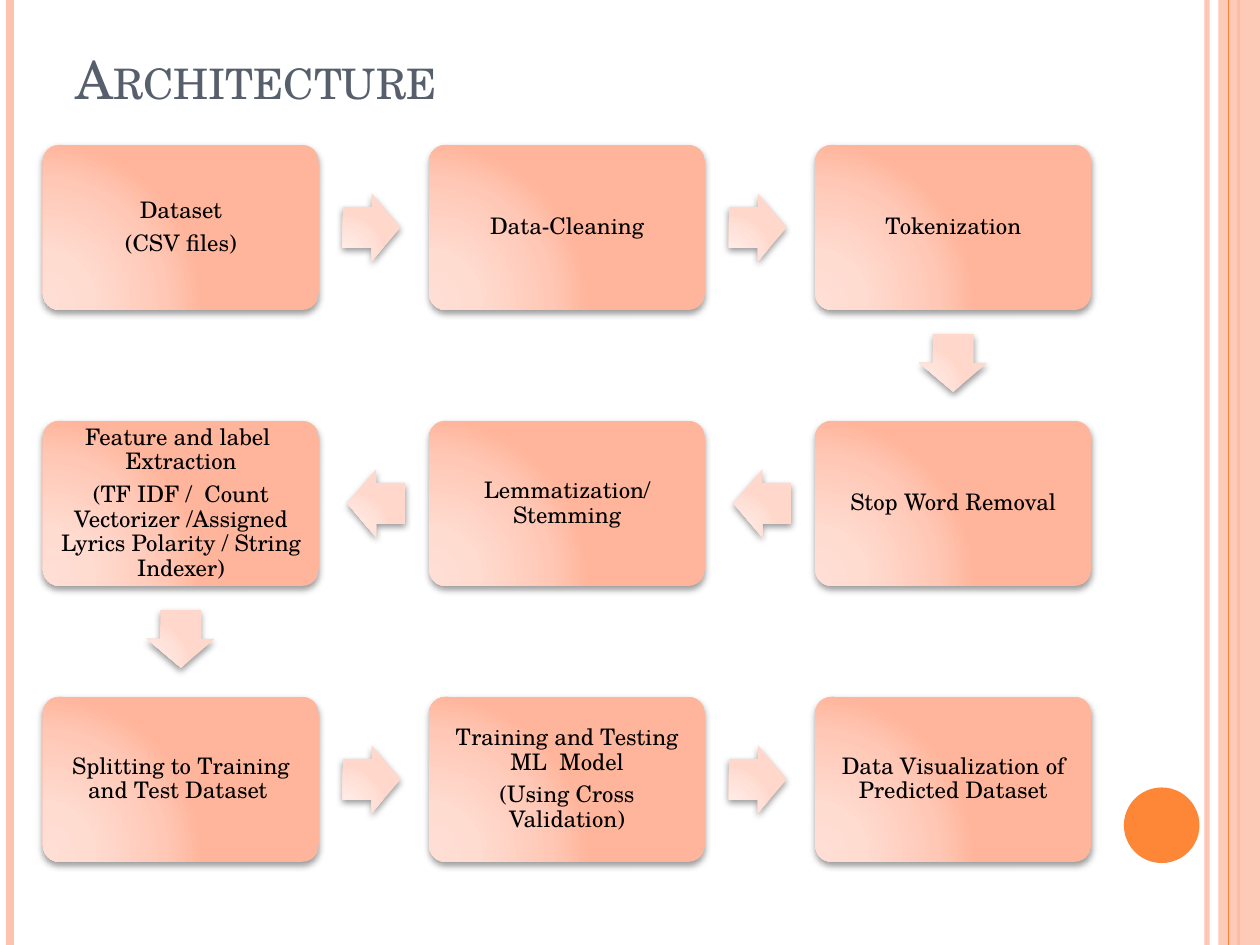
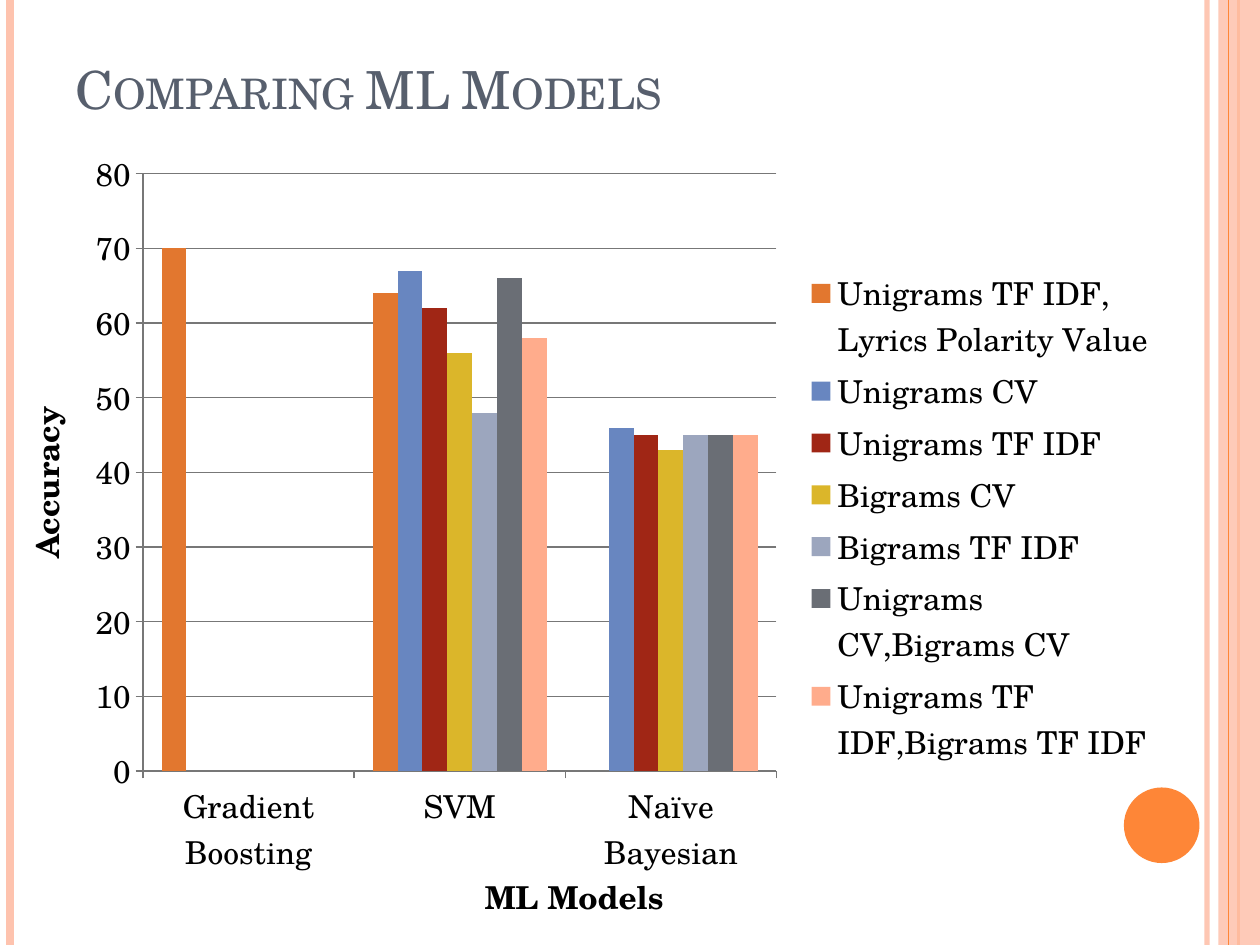
from lxml import etree
from pptx import Presentation
from pptx.chart.data import CategoryChartData
from pptx.dml.color import RGBColor
from pptx.enum.chart import XL_CHART_TYPE, XL_LEGEND_POSITION, XL_TICK_MARK
from pptx.enum.shapes import MSO_CONNECTOR, MSO_SHAPE
from pptx.enum.text import MSO_ANCHOR, PP_ALIGN
from pptx.oxml import parse_xml
from pptx.oxml.ns import nsdecls, qn
from pptx.util import Inches, Pt

LINE = MSO_CONNECTOR.STRAIGHT
RECT, OVAL = MSO_SHAPE.RECTANGLE, MSO_SHAPE.OVAL
ROUND, ARROW = MSO_SHAPE.ROUNDED_RECTANGLE, MSO_SHAPE.RIGHT_ARROW
COLUMN = XL_CHART_TYPE.COLUMN_CLUSTERED
RIGHT = XL_LEGEND_POSITION.RIGHT
OUT = XL_TICK_MARK.OUTSIDE
MIDDLE, BOTTOM = MSO_ANCHOR.MIDDLE, MSO_ANCHOR.BOTTOM
CENTER, LEFT = PP_ALIGN.CENTER, PP_ALIGN.LEFT

FONT = "TeX Gyre Schola"
BLACK, SLATE, GREY = "000000", "575F6D", "777777"
PEACH, ORANGE = "FEC3AE", "FE8637"
STOPS = (0, 30, 75, 100)
BOX_FADE = ("FFDED5", "FFDBD0", "FFC8B6", "FFB59B")
ARROW_FADE = ("FFECE7", "FFEAE4", "FFE0D7", "FFD7CB")
WIDE, HIGH = 10, 7.5

RULES = [(9.58, PEACH, 3, 93), (0.08, PEACH, 4.5, 100), (9.83, ORANGE, 1.5, 100)]

STEPS = [
    (0, 0, "Dataset\n(CSV files)"),
    (1, 0, "Data-Cleaning"),
    (2, 0, "Tokenization"),
    (2, 1, "Stop Word Removal"),
    (1, 1, "Lemmatization/ Stemming"),
    (0, 1, "Feature and label  Extraction\n(TF IDF /  Count Vectorizer /Assigned "
           "Lyrics Polarity / String Indexer)"),
    (0, 2, "Splitting to Training and Test Dataset "),
    (1, 2, "Training and Testing ML  Model\n(Using Cross Validation)"),
    (2, 2, "Data Visualization of Predicted Dataset"),
]
TURNS = {(1, 0): 0, (0, 1): 90, (-1, 0): 180}

MODELS = ["Gradient Boosting", "SVM", "Naïve Bayesian"]
SERIES = [
    ("Unigrams TF IDF, Lyrics Polarity Value", (70, 64, None), "E2772F"),
    ("Unigrams CV", (None, 67, 46), "6886C0"),
    ("Unigrams TF IDF", (None, 62, 45), "A02615"),
    ("Bigrams CV ", (None, 56, 43), "DBB62A"),
    ("Bigrams TF IDF", (None, 48, 45), "9CA6BE"),
    ("Unigrams CV,Bigrams CV", (None, 66, 45), "6A6E75"),
    ("Unigrams TF IDF,Bigrams TF IDF", (None, 58, 45), "FFAC8C"),
]


def rgb(code):
    """Turn a hex string into a colour."""
    return RGBColor.from_string(code)


def place(box):
    """Turn a box in inches into lengths."""
    return [Inches(v) for v in box]


def fade(fill, share):
    """Make a solid fill partly transparent."""
    color = fill._xPr.find(qn("a:solidFill"))[0]
    etree.SubElement(color, qn("a:alpha")).set("val", str(share * 1000))


def style(font, size, color=BLACK, bold=False):
    """Set the shared typeface with a size and colour."""
    font.name, font.size, font.bold = FONT, Pt(size), bold
    font.color.rgb = rgb(color)


def write(shape, text, size, color=BLACK, bold=False, align=LEFT):
    """Fill a shape with styled paragraphs."""
    shape.text_frame.text = text
    for para in shape.text_frame.paragraphs:
        para.alignment = align
        for run in para.runs:
            style(run.font, size, color, bold)


def label(slide, text, box, size, color=BLACK, bold=False, align=LEFT):
    """Add a wrapped text box."""
    shape = slide.shapes.add_textbox(*place(box))
    shape.text_frame.word_wrap = True
    write(shape, text, size, color, bold, align)
    return shape


def solid(slide, kind, box, color):
    """Add a flat shape without outline."""
    shape = slide.shapes.add_shape(kind, *place(box))
    shape.shadow.inherit = False
    shape.fill.solid()
    shape.fill.fore_color.rgb = rgb(color)
    shape.line.fill.background()
    return shape


def rule(slide, x, color, width, share=100):
    """Add a full-height vertical line."""
    line = slide.shapes.add_connector(LINE, *place((x, 0, x, HIGH)))
    line.line.color.rgb = rgb(color)
    line.line.width = Pt(width)
    etree.SubElement(line._element.spPr, qn("a:effectLst"))
    if share < 100:
        fade(line.line.fill, share)


def frame(deck, title, height):
    """Add a slide with its side bands, disc and title."""
    slide = deck.slides.add_slide(deck.slide_layouts[6])
    for args in RULES:
        rule(slide, *args)
    fade(solid(slide, RECT, (9.67, 0, 0.33, HIGH), PEACH).fill, 87)
    rule(slide, 9.75, ORANGE, 0.75)
    solid(slide, OVAL, (8.92, 6.25, 0.6, 0.6), ORANGE)
    head = label(slide, title, (0.5, 0.3, 8.17, height), 30, SLATE)
    head.text_frame.vertical_anchor = BOTTOM
    head.text_frame.paragraphs[0].runs[0].font._element.set("cap", "small")
    return slide


def glow(slide, kind, box, colors):
    """Add a shape with a radial gradient and a soft shadow."""
    shape = slide.shapes.add_shape(kind, *place(box))
    shape.line.fill.background()
    shape.shadow.inherit = False
    stops = "".join(
        f'<a:gs pos="{pos * 1000}"><a:srgbClr val="{color}"/></a:gs>'
        for pos, color in zip(STOPS, colors))
    props = shape._element.spPr
    props.insert(2, parse_xml(
        f'<a:gradFill {nsdecls("a")} rotWithShape="1"><a:gsLst>{stops}</a:gsLst>'
        '<a:path path="circle"><a:fillToRect l="5000" t="100000" r="120000" b="10000"/>'
        '</a:path></a:gradFill>'))
    props.find(qn("a:effectLst")).append(parse_xml(
        f'<a:outerShdw {nsdecls("a")} blurRad="{Pt(4)}" dist="{Pt(2)}" dir="5400000" '
        'rotWithShape="0"><a:srgbClr val="000000"><a:alpha val="40000"/></a:srgbClr>'
        '</a:outerShdw>'))
    return shape


def step(slide, text, box):
    """Add one rounded box of the flow."""
    shape = glow(slide, ROUND, box, BOX_FADE)
    shape.adjustments[0] = 0.1
    body = shape.text_frame
    body.word_wrap, body.vertical_anchor = True, MIDDLE
    body.margin_left = body.margin_right = Inches(0.05)
    body.margin_top = body.margin_bottom = Inches(0.05)
    write(shape, text, 13, align=CENTER)
    for para in body.paragraphs:
        para.line_spacing = 0.9
        para.space_after = Pt(0)
        after = para._p.pPr.find(qn("a:spcAft"))
        after.clear()
        etree.SubElement(after, qn("a:spcPct")).set("val", "35000")


def flow(slide, left, top, wide=2.19, high=1.31):
    """Lay the steps on a winding grid joined by arrows."""
    for i, (col, row, text) in enumerate(STEPS):
        x, y = left + col * 3.065, top + row * 2.19
        step(slide, text, (x, y, wide, high))
        if i + 1 < len(STEPS):
            dx, dy = STEPS[i + 1][0] - col, STEPS[i + 1][1] - row
            mid = x + wide / 2 + dx * (wide / 2 + 0.42)
            level = y + high / 2 + dy * (high / 2 + 0.42)
            arrow = glow(slide, ARROW, (mid - 0.23, level - 0.27, 0.46, 0.54), ARROW_FADE)
            arrow.adjustments[0], arrow.adjustments[1] = 0.6, 0.5
            arrow.rotation = TURNS[dx, dy]


def layout(node, index, box, inner=False):
    """Fix the place of a chart part as shares of the chart."""
    for old in node.findall(qn("c:layout")):
        node.remove(old)
    target = '<c:layoutTarget val="inner"/>' if inner else ""
    modes = '<c:xMode val="edge"/><c:yMode val="edge"/>'
    sizes = "".join(f'<c:{key} val="{val}"/>' for key, val in zip("xywh", box))
    node.insert(index, parse_xml(
        f'<c:layout {nsdecls("c")}><c:manualLayout>{target}{modes}{sizes}'
        '</c:manualLayout></c:layout>'))


def graph(slide, box):
    """Add the clustered column chart of accuracies."""
    data = CategoryChartData()
    data.categories = MODELS
    for name, vals, _ in SERIES:
        data.add_series(name, vals)
    chart = slide.shapes.add_chart(COLUMN, *place(box), data).chart
    style(chart.font, 18)
    chart.has_title = False
    plot = chart.plots[0]
    plot.gap_width, plot.overlap, plot.vary_by_categories = 150, 0, False
    for item, (_, _, color) in zip(plot.series, SERIES):
        item.format.fill.solid()
        item.format.fill.fore_color.rgb = rgb(color)
    scale = chart.value_axis
    scale.minimum_scale, scale.maximum_scale, scale.major_unit = 0, 80, 10
    scale.has_major_gridlines = True
    for part in (scale, chart.category_axis, scale.major_gridlines):
        part.format.line.color.rgb = rgb(GREY)
        part.format.line.width = Pt(0.75)
    for axis in (scale, chart.category_axis):
        axis.major_tick_mark = OUT
    chart.has_legend = True
    chart.legend.position = RIGHT
    chart.legend.include_in_layout = False
    layout(plot._element.getparent(), 0, (0.064, 0.05, 0.58, 0.79), True)
    layout(chart.legend._element, 1, (0.67, 0.17, 0.32, 0.67))


def main():
    """Build both slides and save them."""
    deck = Presentation()
    deck.slide_width, deck.slide_height = Inches(WIDE), Inches(HIGH)
    flow(frame(deck, "Architecture", 0.62), 0.34, 1.15)
    slide = frame(deck, "Comparing ML Models", 0.7)
    graph(slide, (0.58, 1.08, 8.67, 6))
    side = label(slide, "Accuracy", (-1.63, 3.63, 4, 0.4), 18, bold=True, align=CENTER)
    side.rotation = 270
    label(slide, "ML Models", (3.75, 6.92, 1.63, 0.4), 18, bold=True)
    deck.save("out.pptx")


if __name__ == "__main__":
    main()
